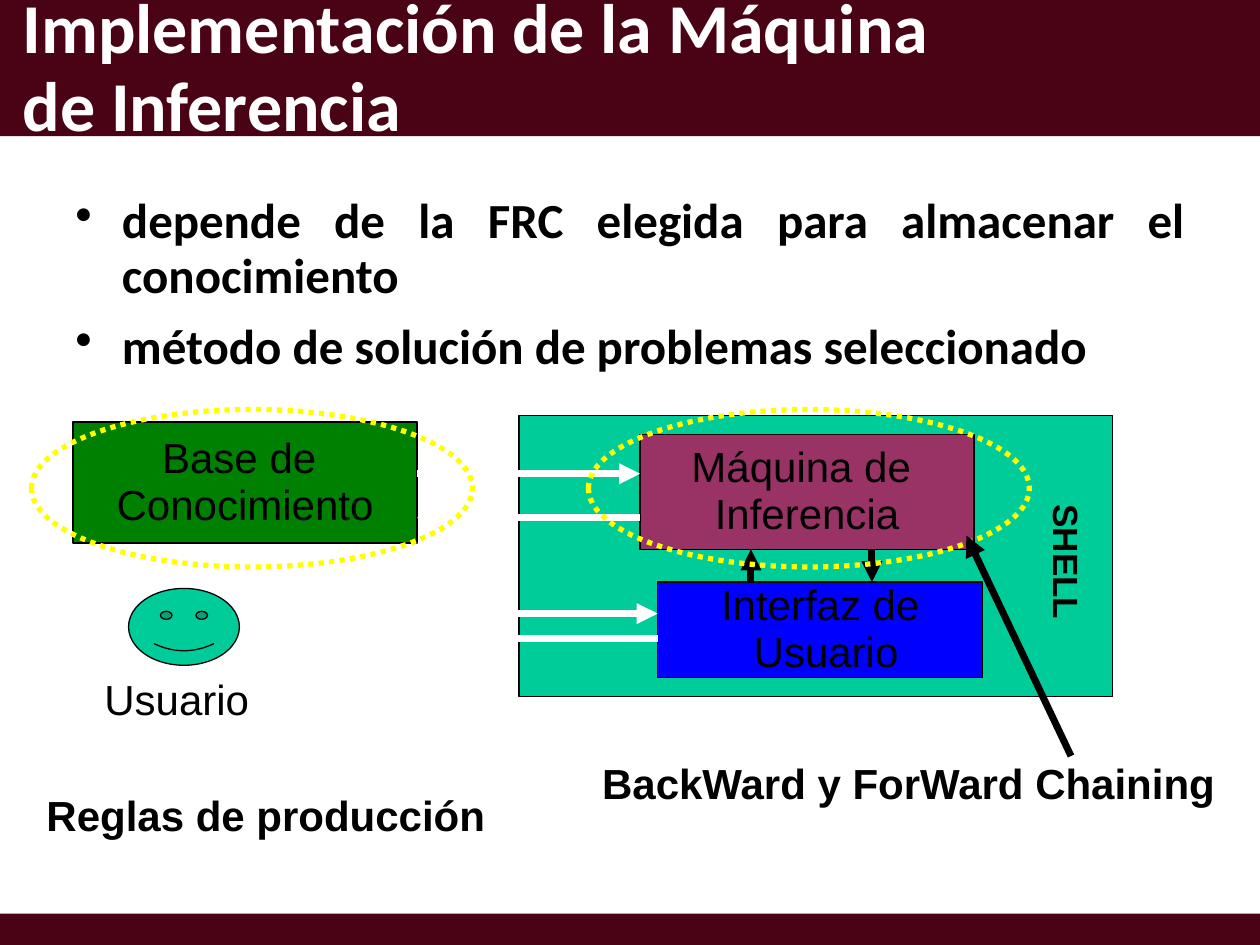
import pptx
import pptx.dml.color
import pptx.enum.dml
import pptx.enum.shapes
import pptx.enum.text
import pptx.oxml
import pptx.oxml.ns
import pptx.util
from dataclasses import dataclass
from typing import Optional

RGB = pptx.dml.color.RGBColor
SHAPE = pptx.enum.shapes.MSO_SHAPE
ALIGN = pptx.enum.text.PP_ALIGN
ANCHOR = pptx.enum.text.MSO_ANCHOR

MAROON = RGB(0x4A, 0x03, 0x15)
TEAL = RGB(0x00, 0xCC, 0x99)
PLUM = RGB(0x99, 0x33, 0x66)
GREEN = RGB(0x00, 0x80, 0x00)
BLUE = RGB(0x00, 0x00, 0xFF)
YELLOW = RGB(0xFF, 0xFF, 0x00)
BLACK = RGB(0x00, 0x00, 0x00)
WHITE = RGB(0xFF, 0xFF, 0xFF)

COLS, ROWS = 100, 75
LINE_SPACING = 0.93

prs = pptx.Presentation()
prs.slide_width = pptx.util.Inches(10)
prs.slide_height = pptx.util.Inches(7.5)


@dataclass(frozen=True)
class Area:
    col: float
    row: float
    cols: float
    rows: float

    def box(self) -> tuple:
        return x(self.col), y(self.row), x(self.cols), y(self.rows)


@dataclass(frozen=True)
class Block:
    area: Area
    fill: Optional[RGB] = None
    line: Optional[RGB] = BLACK
    width: float = 0.75
    kind: int = SHAPE.RECTANGLE
    text: str = ""


@dataclass(frozen=True)
class Label:
    area: Area
    text: str
    size: int = 24
    bold: bool = True
    rotation: int = 0


@dataclass(frozen=True)
class Arrow:
    start: tuple
    end: tuple
    color: RGB = BLACK


def x(cols: float) -> int:
    return round(prs.slide_width * cols / COLS)


def y(rows: float) -> int:
    return round(prs.slide_height * rows / ROWS)


def write(tf, text: str, size: int, color: RGB = BLACK, bold: bool = False,
          name: str = "Arial", align: int = ALIGN.LEFT) -> None:
    for i, line in enumerate(text.split("\n")):
        p = tf.paragraphs[0] if i == 0 else tf.add_paragraph()
        p.text = line
        p.alignment = align
        p.line_spacing = LINE_SPACING
        p.font.name, p.font.size = name, pptx.util.Pt(size)
        p.font.bold, p.font.color.rgb = bold, color


def add_block(s, block: Block):
    sp = s.shapes.add_shape(block.kind, *block.area.box())
    sp.shadow.inherit = False
    if block.fill is None:
        sp.fill.background()
    else:
        sp.fill.solid()
        sp.fill.fore_color.rgb = block.fill
    if block.line is None:
        sp.line.fill.background()
    else:
        sp.line.color.rgb = block.line
        sp.line.width = pptx.util.Pt(block.width)
    if block.text:
        tf = sp.text_frame
        tf.word_wrap = False
        tf.vertical_anchor = ANCHOR.MIDDLE
        write(tf, block.text, 24, align=ALIGN.CENTER)
    return sp


def add_label(s, label: Label) -> None:
    sp = s.shapes.add_textbox(*label.area.box())
    sp.rotation = label.rotation
    sp.text_frame.word_wrap = True
    write(sp.text_frame, label.text, label.size, bold=label.bold)


def add_arrow(s, arrow: Arrow) -> None:
    (x1, y1), (x2, y2) = arrow.start, arrow.end
    c = s.shapes.add_connector(pptx.enum.shapes.MSO_CONNECTOR.STRAIGHT,
                               x(x1), y(y1), x(x2), y(y2))
    c.line.color.rgb = arrow.color
    c.line.width = pptx.util.Pt(4)
    ln = c.line._get_or_add_ln()
    pptx.oxml.ns.qn("a:tailEnd")
    ln.append(ln.makeelement(pptx.oxml.ns.qn("a:tailEnd"), {"type": "triangle"}))
    sp_pr = c._element.spPr
    sp_pr.append(sp_pr.makeelement(pptx.oxml.ns.qn("a:effectLst"), {}))


def add_bullets(s, area: Area, text: str) -> None:
    tf = s.shapes.add_textbox(*area.box()).text_frame
    tf.word_wrap = True
    write(tf, text, 28, bold=True, name="Calibri", align=ALIGN.JUSTIFY)
    indent = x(3.7)
    for i, p in enumerate(tf.paragraphs):
        p.space_before = pptx.util.Pt(9 if i else 0)
        p_pr = p._p.get_or_add_pPr()
        p_pr.set("marL", str(indent))
        p_pr.set("indent", str(-indent))
        bullet = p_pr.makeelement(pptx.oxml.ns.qn("a:buChar"), {"char": "•"})
        p_pr.find(pptx.oxml.ns.qn("a:defRPr")).addprevious(bullet)


def add_title(s, area: Area, text: str) -> None:
    title = s.shapes.title
    title.left, title.top, title.width, title.height = area.box()
    tf = title.text_frame
    tf.word_wrap = True
    tf.auto_size = pptx.enum.text.MSO_AUTO_SIZE.NONE
    tf.vertical_anchor = ANCHOR.MIDDLE
    write(tf, text, 40, WHITE, True, "Calibri")


BANDS = [Block(Area(0, 72.5, 100, 2.5), MAROON, None),
         Block(Area(0, 0, 100, 10.8), MAROON, None)]
BLOCKS = [
    Block(Area(41.2, 33, 47.1, 22.3), TEAL),
    Block(Area(50.8, 34.5, 26.5, 9.1), PLUM, text="Máquina de \nInferencia"),
    Block(Area(52.2, 46.2, 25.8, 7.6), BLUE, text="Interfaz de\n Usuario"),
    Block(Area(5.8, 33.5, 27.3, 9.6), GREEN, text="Base de \nConocimiento"),
    Block(Area(10.2, 46.7, 8.8, 6.1), TEAL, kind=SHAPE.SMILEY_FACE),
]
FLOWS = [
    Arrow((59.6, 46.2), (59.6, 43.6)),
    Arrow((69.2, 43.6), (69.2, 46.2)),
    Arrow((33.1, 37.6), (50.8, 37.6), WHITE),
    Arrow((50.8, 41.1), (33.1, 41.1), WHITE),
    Arrow((24.2, 48.7), (52.2, 48.7), WHITE),
    Arrow((52.2, 50.7), (24.2, 50.7), WHITE),
]
HIGHLIGHTS = [Block(Area(col, 32.5, 35, 12.5), None, YELLOW, 3, SHAPE.OVAL)
              for col in (46.7, 2.5)]
LABELS = [
    Label(Area(78.9, 42.6, 11.2, 4.1), "SHELL", size=20, rotation=90),
    Label(Area(7.3, 53.3, 24.3, 4.7), "Usuario", bold=False),
    Label(Area(2.7, 62.5, 36.8, 4.7), "Reglas de producción"),
    Label(Area(46.8, 60, 50.9, 4.7), "BackWard y ForWard Chaining"),
]


def main() -> None:
    s = prs.slides.add_slide(prs.slide_layouts[5])
    for band in BANDS:
        sp = add_block(s, band)
        s.shapes.title._element.addprevious(sp._element)
    add_title(s, Area(0.8, -0.8, 76.5, 12.5),
              "Implementación de la Máquina de Inferencia")
    add_bullets(s, Area(5, 15, 90, 17),
                "depende de la FRC elegida para almacenar el conocimiento\n"
                "método de solución de problemas seleccionado")
    for block in BLOCKS:
        add_block(s, block)
    for flow in FLOWS:
        add_arrow(s, flow)
    for highlight in HIGHLIGHTS:
        sp = add_block(s, highlight)
        sp.line.dash_style = pptx.enum.dml.MSO_LINE.ROUND_DOT
    for label in LABELS:
        add_label(s, label)
    add_arrow(s, Arrow((85, 60), (76.7, 42.5)))
    prs.save("out.pptx")


if __name__ == "__main__":
    main()
